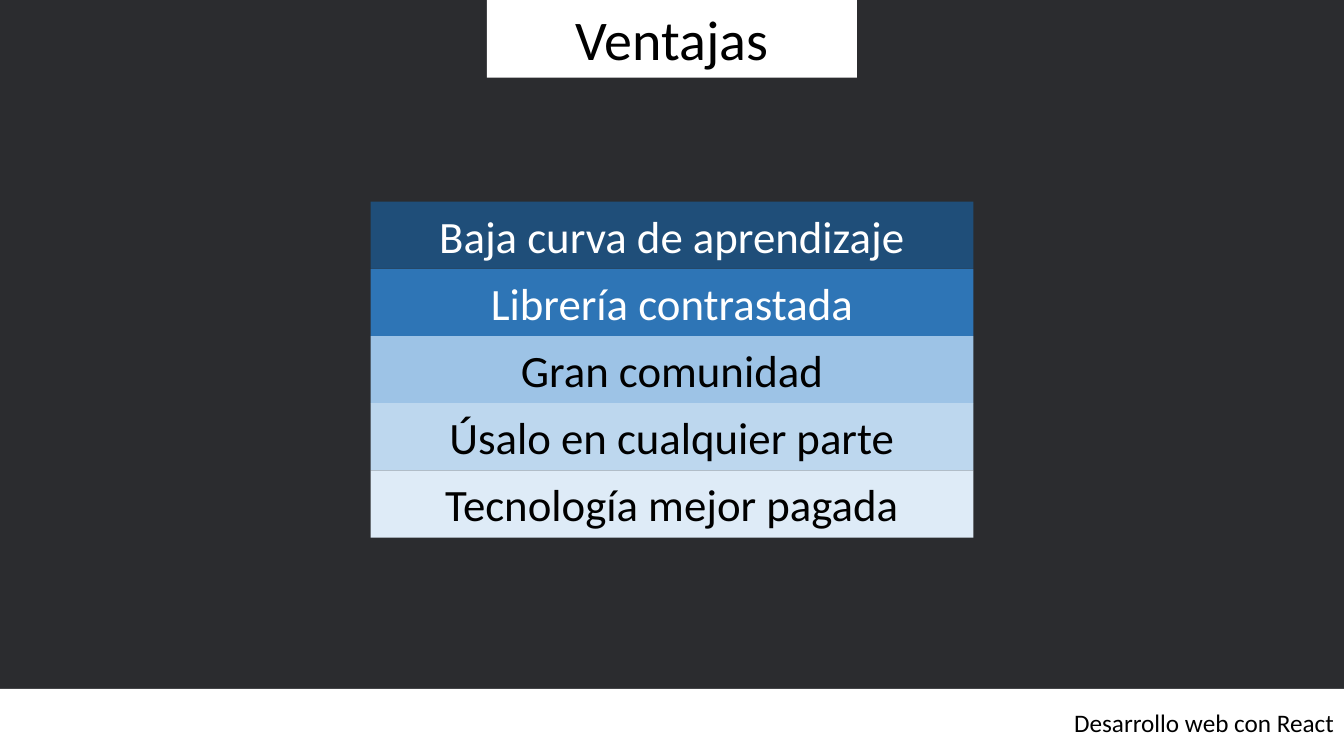
from dataclasses import dataclass

from pptx import Presentation, util as u
from pptx.dml.color import RGBColor
from pptx.enum import shapes, text


@dataclass(frozen=True)
class Theme:
    font: str = "Calibri"
    background: str = "2B2C2F"
    light: str = "FFFFFF"
    dark: str = "000000"
    title_size: int = 40
    advantage_size: int = 32
    footer_size: int = 18


@dataclass(frozen=True)
class Box:
    """A rectangle in inches."""
    left: float
    top: float
    width: float
    height: float


THEME = Theme()
SLIDE = Box(0, 0, 13.33, 7.5)
ROW = 2 / 3
ADVANTAGES = [
    ("Baja curva de aprendizaje", "1F4E79", THEME.light),
    ("Librería contrastada", "2E75B6", THEME.light),
    ("Gran comunidad", "9DC3E6", THEME.dark),
    ("Úsalo en cualquier parte", "BDD7EE", THEME.dark),
    ("Tecnología mejor pagada", "DEEBF7", THEME.dark),
]


def add_label(slide, box, words, size, fill, color=THEME.dark,
              align=text.PP_ALIGN.CENTER, anchor=text.MSO_ANCHOR.MIDDLE):
    """Add a borderless filled rectangle with one line of text."""
    lengths = (u.Inches(n) for n in (box.left, box.top, box.width, box.height))
    shape = slide.shapes.add_shape(shapes.MSO_SHAPE.RECTANGLE, *lengths)
    shape.shadow.inherit = False
    shape.fill.solid()
    shape.fill.fore_color.rgb = RGBColor.from_string(fill)
    shape.line.fill.background()
    frame = shape.text_frame
    frame.word_wrap = True
    frame.vertical_anchor = anchor
    paragraph = frame.paragraphs[0]
    paragraph.alignment = align
    run = paragraph.add_run()
    run.text = words
    run.font.name = THEME.font
    run.font.size = u.Pt(size)
    run.font.color.rgb = RGBColor.from_string(color)
    return shape


def add_footer(slide, box):
    add_label(slide, box, "Desarrollo web con React", THEME.footer_size,
              THEME.light, align=text.PP_ALIGN.RIGHT)


def add_title(slide, box):
    title = add_label(slide, box, "Ventajas", THEME.title_size, THEME.light,
                      anchor=text.MSO_ANCHOR.TOP)
    title.text_frame.auto_size = text.MSO_AUTO_SIZE.SHAPE_TO_FIT_TEXT


def add_advantages(slide, box):
    height = box.height / len(ADVANTAGES)
    for index, (words, fill, color) in enumerate(ADVANTAGES):
        row = Box(box.left, box.top + index * height, box.width, height)
        add_label(slide, row, words, THEME.advantage_size, fill, color)


def centred(width, top, height):
    return Box((SLIDE.width - width) / 2, top, width, height)


def main():
    presentation = Presentation()
    presentation.slide_width = u.Inches(SLIDE.width)
    presentation.slide_height = u.Inches(SLIDE.height)
    slide = presentation.slides.add_slide(presentation.slide_layouts[6])
    slide.background.fill.solid()
    slide.background.fill.fore_color.rgb = RGBColor.from_string(THEME.background)

    add_footer(slide, Box(0, SLIDE.height - ROW, SLIDE.width, ROW))
    add_title(slide, centred(3.67, 0, 0.77))
    add_advantages(slide, centred(5.98, 3 * ROW, len(ADVANTAGES) * ROW))
    presentation.save("out.pptx")


if __name__ == "__main__":
    main()
